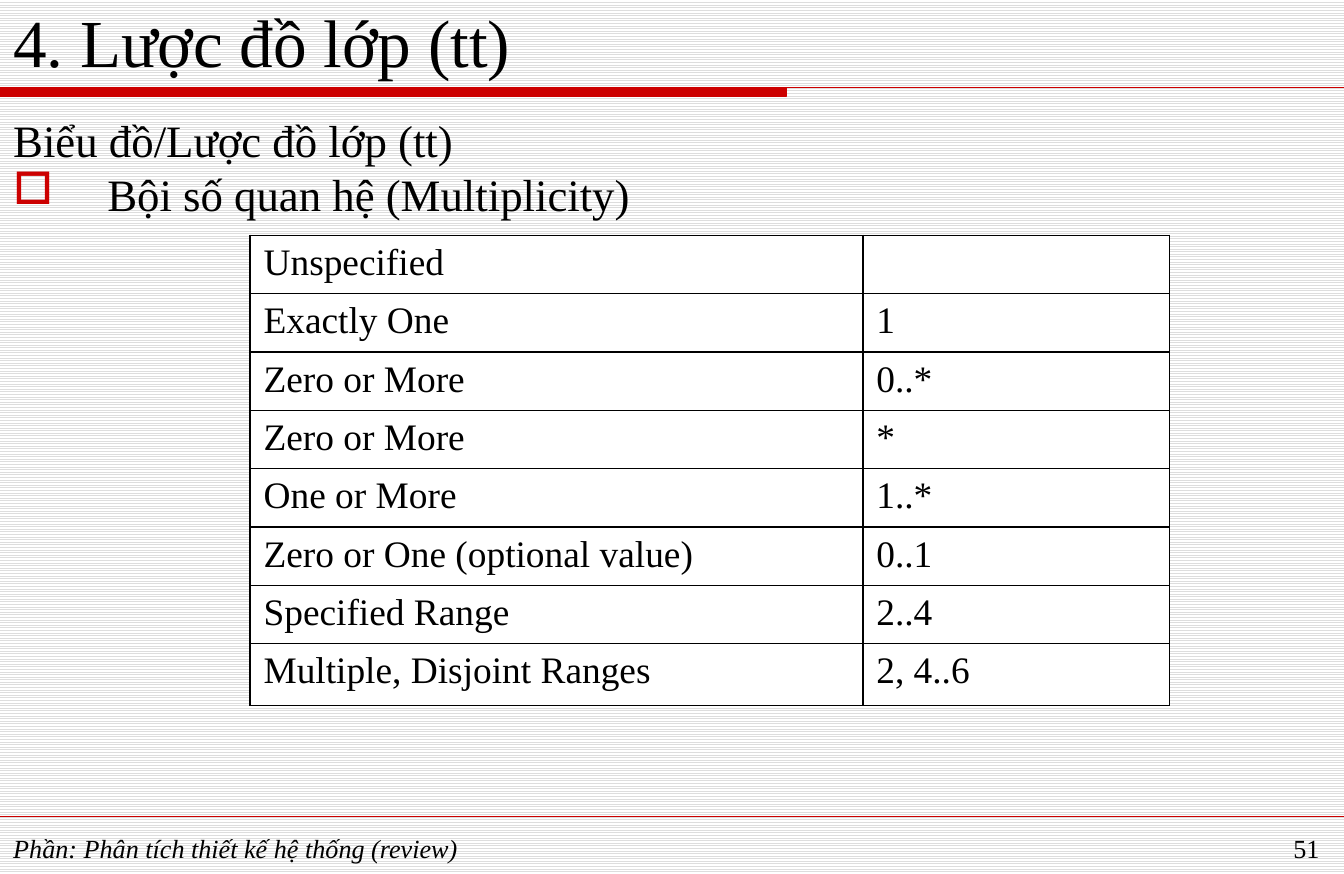
import pptx
import pptx.util
import pptx.dml.color
import pptx.enum.dml
import pptx.enum.shapes
import pptx.enum.text
import pptx.oxml
import pptx.oxml.ns
import lxml.etree

Pt = pptx.util.Pt
RGB = pptx.dml.color.RGBColor
ALIGN = pptx.enum.text.PP_ALIGN
ANCHOR = pptx.enum.text.MSO_ANCHOR
qn = pptx.oxml.ns.qn

RED = RGB(0xCC, 0x00, 0x00)
BLACK = RGB(0, 0, 0)
WHITE = RGB(0xFF, 0xFF, 0xFF)
GREY = RGB(0xDD, 0xDD, 0xDD)
FONT = "Times New Roman"
WIDE, HIGH = 720, 468

TITLE = "4. Lược đồ lớp (tt)"
HEAD = "Bi\u00ea\u0309u \u0111\u00f4\u0300/Lược đồ lớp (tt)"
POINT = "B\u00f4\u0323i s\u00f4\u0301 quan h\u00ea\u0323 (Multiplicity)"
FOOTER = "Phần: Phân tích thiết kế hệ thống (review)"
NUMBER = "51"
ROWS = [
    ("Unspecified", ""),
    ("Exactly One", "1"),
    ("Zero or More", "0..*"),
    ("Zero or More", "*"),
    ("One or More", "1..*"),
    ("Zero or One (optional value)", "0..1"),
    ("Specified Range", "2..4"),
    ("Multiple, Disjoint Ranges", "2, 4..6"),
]
COLS = (328.3, 164.2)
ROW, LAST = 28.1, 33.1


def add_run(para, text, size, italic=None):
    """Add one black run to a paragraph."""
    run = para.add_run()
    run.text = text
    font = run.font
    font.name, font.size, font.italic = FONT, Pt(size), italic
    font.color.rgb = BLACK


def add_text(slide, box, lines, size, anchor=ANCHOR.TOP, align=ALIGN.LEFT,
             italic=None):
    """Add a wrapped text box and return its frame."""
    frame = slide.shapes.add_textbox(*map(Pt, box)).text_frame
    frame.word_wrap = True
    frame.vertical_anchor = anchor
    for i, line in enumerate(lines):
        para = frame.add_paragraph() if i else frame.paragraphs[0]
        para.alignment = align
        add_run(para, line, size, italic)
    return frame


def add_bullet(para, mark, indent):
    """Give a paragraph a red bullet with a hanging indent."""
    props = para._p.get_or_add_pPr()
    props.set("marL", str(Pt(indent)))
    props.set("indent", str(-Pt(indent)))
    color = lxml.etree.SubElement(props, qn("a:buClr"))
    lxml.etree.SubElement(color, qn("a:srgbClr"), val=str(RED))
    lxml.etree.SubElement(props, qn("a:buChar"), char=mark)


def add_borders(cell):
    """Draw thin black lines on all sides of a cell."""
    props = cell._tc.get_or_add_tcPr()
    for i, side in enumerate(("lnL", "lnR", "lnT", "lnB")):
        line = lxml.etree.Element(qn("a:" + side), w=str(Pt(1)))
        fill = lxml.etree.SubElement(line, qn("a:solidFill"))
        lxml.etree.SubElement(fill, qn("a:srgbClr"), val=str(BLACK))
        props.insert(i, line)


def add_rules(slide):
    """Draw the title bar with its rule, and the footer rule."""
    top, low, end = 46.8, 51.8, 421.2
    pen = slide.shapes.build_freeform(0, Pt(top))
    pen.add_line_segments(
        [(Pt(x), Pt(y)) for x, y in ((end, top), (end, low), (0, low))])
    pen.move_to(0, Pt(top))
    pen.add_line_segments([(Pt(WIDE), Pt(top))], close=False)
    bar = pen.convert_to_shape()
    bar.shadow.inherit = False
    bar.fill.solid()
    bar.fill.fore_color.rgb = RED
    bar.line.color.rgb = RED
    bar.line.width = Pt(0.75)

    rule = slide.shapes.add_connector(
        pptx.enum.shapes.MSO_CONNECTOR.STRAIGHT, 0, Pt(437), Pt(WIDE), Pt(437))
    rule.line.color.rgb = RED
    rule.line.width = Pt(0.25)
    lxml.etree.SubElement(rule._element.spPr, qn("a:effectLst"))


def add_grid(slide):
    """Add the multiplicity table."""
    high = [ROW] * (len(ROWS) - 1) + [LAST]
    table = slide.shapes.add_table(
        len(ROWS), len(COLS), Pt(134), Pt(126),
        Pt(sum(COLS)), Pt(sum(high))).table
    table.first_row = table.horz_banding = False
    for col, width in zip(table.columns, COLS):
        col.width = Pt(width)
    for row, height, texts in zip(table.rows, high, ROWS):
        row.height = Pt(height)
        for cell, text in zip(row.cells, texts):
            cell.fill.solid()
            cell.fill.fore_color.rgb = WHITE
            add_borders(cell)
            if text:
                add_run(cell.text_frame.paragraphs[0], text, 20)


def main():
    """Build and save the slide."""
    deck = pptx.Presentation()
    deck.slide_width, deck.slide_height = Pt(WIDE), Pt(HIGH)
    slide = deck.slides.add_slide(deck.slide_layouts[6])
    back = slide.background.fill
    back.patterned()
    back.pattern = pptx.enum.dml.MSO_PATTERN.LIGHT_HORIZONTAL
    back.fore_color.rgb, back.back_color.rgb = GREY, WHITE

    add_rules(slide)
    add_text(slide, (0, 5, WIDE, 41.8), [TITLE], 36, ANCHOR.BOTTOM)
    body = add_text(slide, (0, 57, WIDE, 374.4), [HEAD, POINT], 24)
    add_bullet(body.paragraphs[1], "□", 50.4)
    add_text(slide, (0, 442, 588, 21), [FOOTER], 14, italic=True)
    add_text(slide, (642, 442, 72, 22), [NUMBER], 14, align=ALIGN.RIGHT)
    add_grid(slide)
    deck.save("out.pptx")


main()
